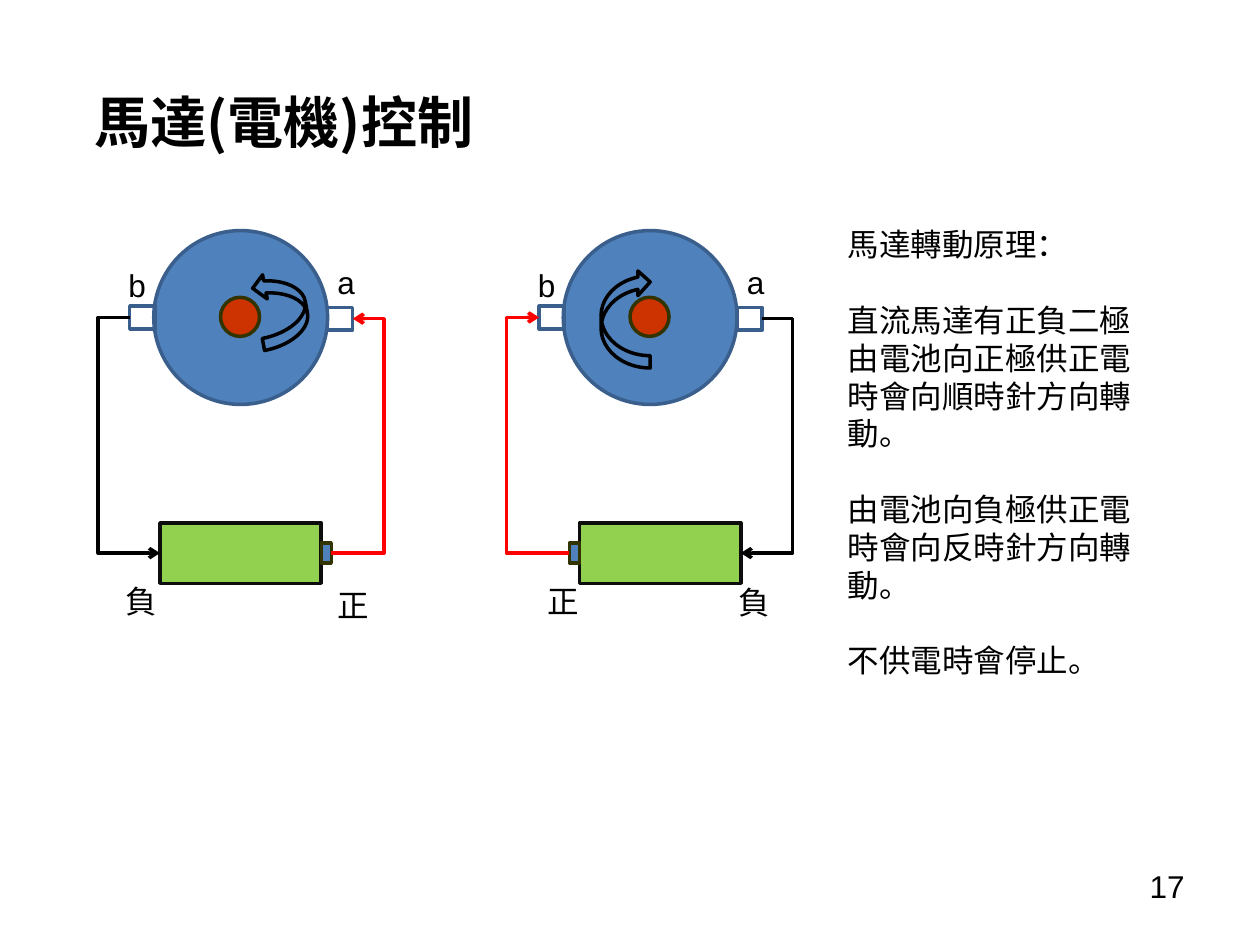
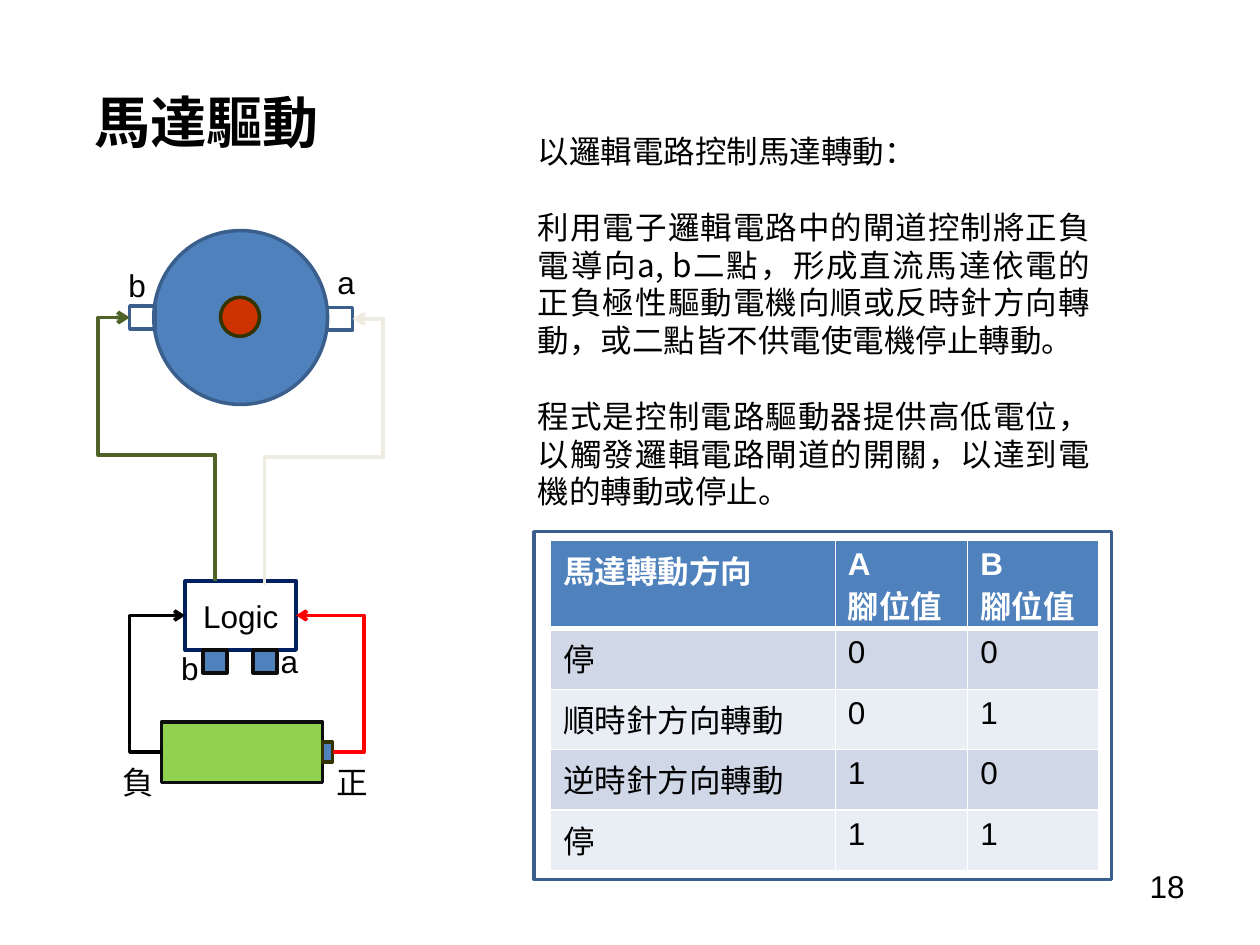
from lxml import etree
from pptx import Presentation
from pptx.dml.color import RGBColor
from pptx.enum.shapes import MSO_CONNECTOR, MSO_SHAPE
from pptx.enum.text import MSO_ANCHOR, MSO_AUTO_SIZE, PP_ALIGN
from pptx.oxml.ns import qn
from pptx.util import Emu, Pt

PX = 9144
RECT, OVAL, CURVED = MSO_SHAPE.RECTANGLE, MSO_SHAPE.OVAL, MSO_SHAPE.CURVED_RIGHT_ARROW
ELBOW = MSO_CONNECTOR.ELBOW
MIDDLE, FIT = MSO_ANCHOR.MIDDLE, MSO_AUTO_SIZE.SHAPE_TO_FIT_TEXT
LEFT, CENTER, RIGHT, JUSTIFY = PP_ALIGN.LEFT, PP_ALIGN.CENTER, PP_ALIGN.RIGHT, PP_ALIGN.JUSTIFY
LEFT_SITE, RIGHT_SITE = 1, 3
LATIN, CJK = "Arial", "Noto Sans CJK SC"
BLACK, WHITE, RED, GREEN = "000000", "FFFFFF", "FF0000", "92D050"
BLUE, NAVY, EDGE = "4F81BD", "002060", "3A5F8C"
HUB, OLIVE, INK = "CC3300", "333300", "0D0D0D"
WIRE_B, WIRE_A = "4F6228", "EEECE1"
BANDS = ["E9EDF4", "D0D8E8"]
CJK_LINE = Pt(21.6)
PRINCIPLE = [
    "馬達轉動原理：",
    "直流馬達有正負二極由電池向正極供正電時會向順時針方向轉動。",
    "由電池向負極供正電時會向反時針方向轉動。",
    "不供電時會停止。",
]
LOGIC_NOTES = [
    "以邏輯電路控制馬達轉動：",
    "利用電子邏輯電路中的閘道控制將正負電導向a, b二點，形成直流馬達依電的正負極性驅動電機向順或反時針方向轉動，或二點皆不供電使電機停止轉動。",
    "程式是控制電路驅動器提供高低電位，以觸發邏輯電路閘道的開關，以達到電機的轉動或停止。",
]
PIN_TABLE = [
    ["馬達轉動方向", "A\n腳位值", "B\n腳位值"],
    ["停", "0", "0"],
    ["順時針方向轉動", "0", "1"],
    ["逆時針方向轉動", "1", "0"],
    ["停", "1", "1"],
]


def px(*lengths):
    return [Emu(length * PX) for length in lengths]


def rgb(color):
    return RGBColor.from_string(color)


def apply(target, **values):
    for name, value in values.items():
        setattr(target, name, value)


class Deck:
    def __init__(self):
        self.prs = Presentation()
        self.prs.slide_width, self.prs.slide_height = px(1000, 750)
        self.slide = None

    def new_slide(self, title, number):
        self.slide = self.prs.slides.add_slide(self.prs.slide_layouts[6])
        heading = self.text((75, 60, 850, 79), [title], CJK, size=32, bold=True, line_spacing=0.9)
        apply(heading, vertical_anchor=MIDDLE, margin_left=0, margin_top=0,
              margin_right=0, margin_bottom=0)
        self.text((717, 683, 233, 52), [number], LATIN, alignment=RIGHT)

    def fill_text(self, frame, paragraphs, font, size=18, bold=False, color=BLACK, **layout):
        for index, words in enumerate(paragraphs):
            paragraph = frame.paragraphs[0] if index == 0 else frame.add_paragraph()
            apply(paragraph, **layout)
            if index == 0:
                paragraph.space_before = Pt(0)
            run = paragraph.add_run()
            run.text = words
            apply(run.font, name=font, size=Pt(size), bold=bold)
            run.font.color.rgb = rgb(color)
            etree.SubElement(run.font._element, qn("a:ea"), typeface=CJK)

    def text(self, box, paragraphs, font, **style):
        frame = self.slide.shapes.add_textbox(*px(*box)).text_frame
        frame.word_wrap = True
        self.fill_text(frame, paragraphs, font, **style)
        return frame

    def body(self, box, paragraphs, alignment=LEFT):
        self.text(box, paragraphs, CJK, alignment=alignment,
                  line_spacing=CJK_LINE, space_before=CJK_LINE)

    def label(self, left, top, words):
        if words.isascii():
            frame = self.text((left, top, 34, 40), [words], LATIN)
        else:
            frame = self.text((left, top, 45, 40), [words], CJK, line_spacing=CJK_LINE)
        apply(frame, word_wrap=False, auto_size=FIT)

    def shape(self, kind, box, fill, line):
        shape = self.slide.shapes.add_shape(kind, *px(*box))
        shape.shadow.inherit = False
        if fill:
            shape.fill.solid()
            shape.fill.fore_color.rgb = rgb(fill)
        else:
            shape.fill.background()
        shape.line.color.rgb = rgb(line)
        shape.line.width = Pt(2)
        return shape

    def motor(self, left):
        self.shape(OVAL, (left, 183, 138, 138), BLUE, EDGE)
        self.shape(OVAL, (left + 53, 236, 31, 31), HUB, OLIVE)
        terminal_a = self.shape(RECT, (left + 138, 244, 20, 18), None, EDGE)
        terminal_b = self.shape(RECT, (left - 19, 243, 20, 18), None, EDGE)
        self.label(left + 136, 204, "a")
        self.label(left - 30, 206, "b")
        return terminal_a, terminal_b

    def battery(self, left, top, cap_left):
        cell = self.shape(RECT, (left, top, 128, 48), GREEN, INK)
        cap = self.shape(RECT, (cap_left, top + 16, 8, 16), BLUE, OLIVE)
        return cell, cap

    def spin(self, box, rotation, flipped=False):
        arrow = self.shape(CURVED, box, None, BLACK)
        arrow.rotation = rotation
        if flipped:
            arrow._element.spPr.find(qn("a:xfrm")).set("flipH", "1")

    def wire(self, start, site, rail, color, arrow_end, target=None, point=None,
             level=None, width=2):
        link = self.slide.shapes.add_connector(ELBOW, *px(0, 0, *(point or (1, 1))))
        link.begin_connect(start, site)
        if target:
            link.end_connect(target, site)
        bends = [(rail * PX - link.begin_x) / (link.end_x - link.begin_x)]
        properties = link._element.spPr
        geometry = properties.find(qn("a:prstGeom"))
        if level:
            bends.append((level * PX - link.begin_y) / (link.end_y - link.begin_y))
            geometry.set("prst", "bentConnector4")
        guides = geometry.find(qn("a:avLst"))
        for index, bend in enumerate(bends, 1):
            etree.SubElement(guides, qn("a:gd"), name=f"adj{index}",
                             fmla=f"val {round(bend * 100000)}")
        link.line.color.rgb = rgb(color)
        link.line.width = Pt(width)
        etree.SubElement(properties.find(qn("a:ln")), qn(f"a:{arrow_end}End"), type="arrow")
        etree.SubElement(properties, qn("a:effectLst"))

    def border(self, cell, side, width):
        line = etree.SubElement(cell._tc.get_or_add_tcPr(), qn(f"a:ln{side}"), w=str(Pt(width)))
        fill = etree.SubElement(line, qn("a:solidFill"))
        etree.SubElement(fill, qn("a:srgbClr"), val=WHITE)

    def table(self, box, rows, widths, heights):
        grid = self.slide.shapes.add_table(len(rows), len(widths), *px(*box)).table
        for column, width in zip(grid.columns, px(*widths)):
            column.width = width
        for row, height in zip(grid.rows, px(*heights)):
            row.height = height
        for r, values in enumerate(rows):
            header = r == 0
            for c, value in enumerate(values):
                cell = grid.cell(r, c)
                sides = {"L": 1, "R": 1, "T": 3 if r == 1 else 1, "B": 3 if header else 1}
                for side, width in sides.items():
                    self.border(cell, side, width)
                cell.fill.solid()
                cell.fill.fore_color.rgb = rgb(BLUE if header else BANDS[r % 2])
                self.fill_text(cell.text_frame, value.split("\n"), LATIN, bold=header,
                               color=WHITE if header else BLACK)


def motor_control(deck):
    deck.new_slide("馬達(電機)控制", "17")
    terminal_a, terminal_b = deck.motor(122)
    cell, cap = deck.battery(127, 415, 255)
    deck.wire(cap, RIGHT_SITE, 305, RED, "tail", terminal_a)
    deck.wire(terminal_b, LEFT_SITE, 78, BLACK, "tail", cell)
    deck.label(258, 460, "正")
    deck.label(90, 457, "負")

    terminal_a, terminal_b = deck.motor(447)
    cell, cap = deck.battery(460, 415, 452)
    deck.wire(cap, LEFT_SITE, 402, RED, "tail", terminal_b)
    deck.wire(terminal_a, RIGHT_SITE, 629, BLACK, "tail", cell)
    deck.label(425, 457, "正")
    deck.label(576, 458, "負")

    deck.spin((204, 215, 39, 60), 169.1)
    deck.spin((477, 214, 39, 78), 180, flipped=True)
    deck.body((663, 174, 247, 404), PRINCIPLE)


def motor_drive(deck):
    deck.new_slide("馬達驅動", "18")
    deck.shape(RECT, (424, 422, 458, 276), None, EDGE)
    terminal_a, terminal_b = deck.motor(122)
    cell, cap = deck.battery(128, 573, 256)
    logic = deck.shape(RECT, (147, 461, 88, 55), None, NAVY)
    logic.text_frame.vertical_anchor = MIDDLE
    deck.fill_text(logic.text_frame, ["Logic"], LATIN, alignment=CENTER)
    for pin_left in (161, 201):
        deck.shape(RECT, (pin_left, 516, 19, 18), BLUE, INK)
    deck.label(213, 505, "a")
    deck.label(134, 510, "b")
    deck.label(257, 601, "正")
    deck.label(87, 601, "負")
    deck.wire(cap, RIGHT_SITE, 289, RED, "tail", logic)
    deck.wire(logic, LEFT_SITE, 103, BLACK, "head", cell)
    deck.wire(terminal_b, LEFT_SITE, 78, WIRE_B, "head", point=(171, 461), level=361, width=2.25)
    deck.wire(terminal_a, RIGHT_SITE, 304, WIRE_A, "head", point=(210, 464), level=363, width=2.25)
    deck.body((417, 100, 458, 313), LOGIC_NOTES, JUSTIFY)
    deck.table((437, 429, 435, 257), PIN_TABLE, [226, 105, 104], [65] + [48] * 4)


def main():
    deck = Deck()
    motor_control(deck)
    motor_drive(deck)
    deck.prs.save("out.pptx")


if __name__ == "__main__":
    main()
